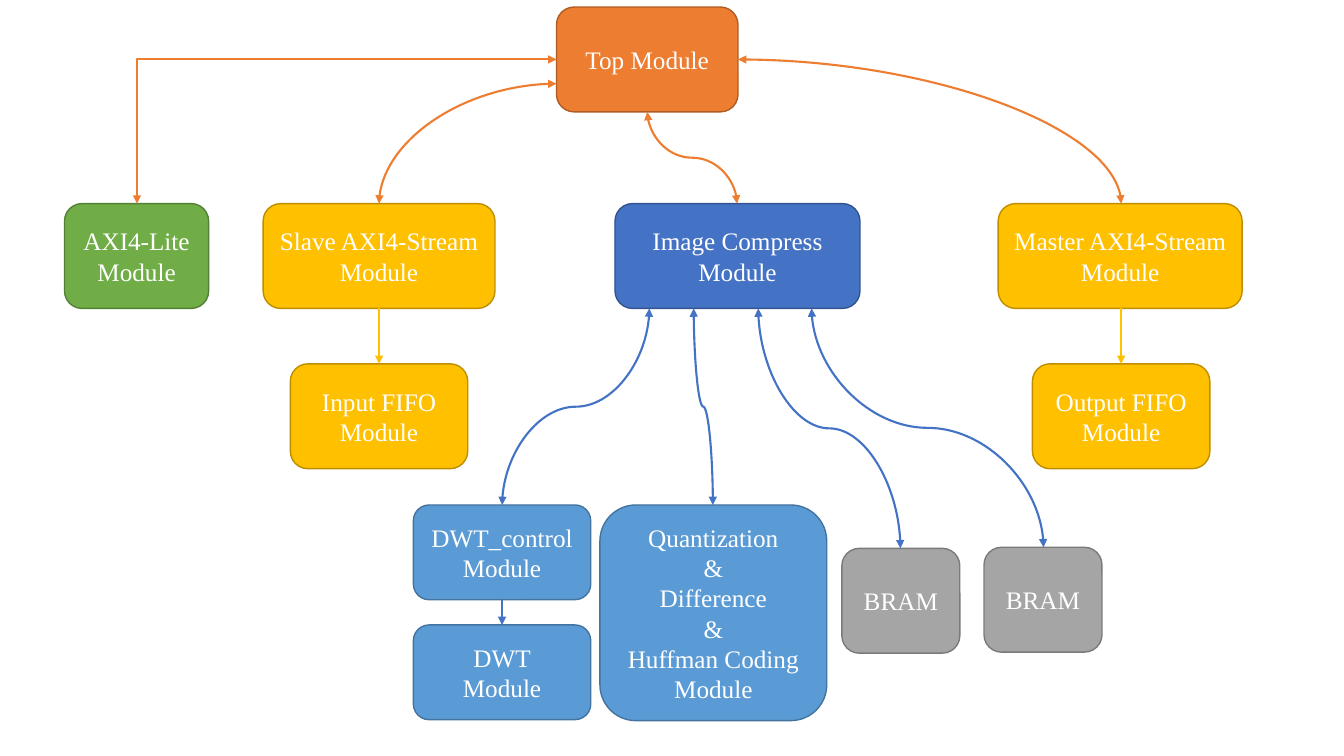
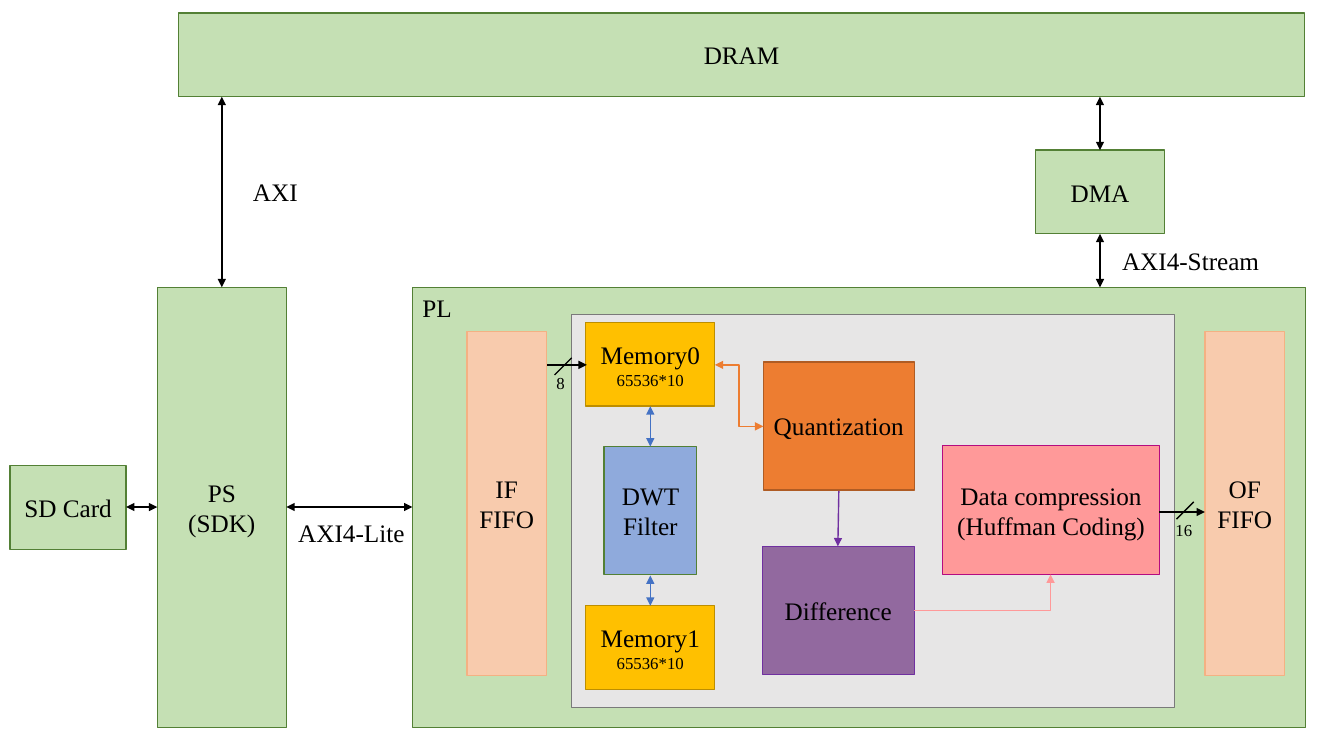
"""Build two block diagrams of an image compression system: module tree and data path."""
from lxml.etree import SubElement
from pptx import Presentation
from pptx.dml.color import RGBColor
from pptx.enum.shapes import MSO_CONNECTOR, MSO_SHAPE
from pptx.enum.text import MSO_ANCHOR, MSO_AUTO_SIZE, PP_ALIGN
from pptx.oxml.ns import qn
from pptx.util import Emu, Pt

PX = 9144
FONT = "Times New Roman"
TEXT_SIZE = 18
SMALL_SIZE = 12
SMALL_TEXTS = ("65536*10", "16", "8")
COLORS = {
    "white": "FFFFFF",
    "black": "000000",
    "orange": "ED7D31",
    "orange_edge": "AF5C24",
    "green": "70AD47",
    "green_edge": "538035",
    "gold": "FFC000",
    "gold_edge": "BD8E00",
    "blue": "4472C4",
    "blue_edge": "325491",
    "sky": "5B9BD5",
    "sky_edge": "43739E",
    "gray": "A5A5A5",
    "gray_edge": "7A7A7A",
    "pale_green": "C5E0B4",
    "peach": "F8CBAD",
    "peach_edge": "F4B183",
    "pale_gray": "E7E6E6",
    "periwinkle": "8FAADC",
    "plum": "92699F",
    "violet": "7030A0",
    "pink": "FF9999",
    "magenta": "B50B80",
}


def add_box(slide, preset, fill, edge, text, left, top, width, height):
    shape = slide.shapes.add_shape(preset, left * PX, top * PX, width * PX, height * PX)
    shape.shadow.inherit = False
    shape.fill.solid()
    shape.fill.fore_color.rgb = RGBColor.from_string(COLORS[fill])
    shape.line.color.rgb = RGBColor.from_string(COLORS[edge])
    shape.line.width = Pt(1)
    text_frame = shape.text_frame
    text_frame.word_wrap = True
    text_frame.vertical_anchor = MSO_ANCHOR.MIDDLE
    text_frame.margin_left = text_frame.margin_right = 5 * PX
    text_frame.text = text
    for paragraph in text_frame.paragraphs:
        paragraph.alignment = PP_ALIGN.CENTER


def add_link(slide, preset, color, width, ends, start, stop):
    """Draw a connector; a preset marked 'vertical' leaves and arrives vertically."""
    (x1, y1), (x2, y2) = start, stop
    preset, _, direction = preset.partition(" ")
    if direction == "vertical":
        turn = 1 if x2 < x1 else -1
        center_x, center_y = (x1 + x2) / 2, (y1 + y2) / 2
        half_length, half_spread = turn * (y2 - y1) / 2, abs(x2 - x1) / 2
        x1, x2 = center_x - half_length, center_x + half_length
        y1, y2 = center_y - half_spread, center_y + half_spread
    connector = slide.shapes.add_connector(
        MSO_CONNECTOR.STRAIGHT, *(Emu(round(value * PX)) for value in (x1, y1, x2, y2)))
    connector.line.color.rgb = RGBColor.from_string(COLORS[color])
    connector.line.width = Pt(width)
    properties = connector._element.spPr
    properties.find(qn("a:prstGeom")).set("prst", preset)
    if direction == "vertical":
        properties.find(qn("a:xfrm")).set("rot", str(turn * 90 % 360 * 60000))
    for end in ends:
        SubElement(properties.find(qn("a:ln")), qn(f"a:{end}End"), type="triangle")
    SubElement(properties, qn("a:effectLst"))


presentation = Presentation()
presentation.slide_width = 1333 * PX
presentation.slide_height = 750 * PX
blank = presentation.slide_layouts[6]
module_slide = presentation.slides.add_slide(blank)
system_slide = presentation.slides.add_slide(blank)

BOTH = ("head", "tail")
FORWARD = ("tail",)

ROW = 202
ROW_BOTTOM = 306
FIFO_TOP = 361
PART_TOP = 501
modules = [
    ("orange", "Top Module", 552, 7, 180, 104),
    ("green", "AXI4-Lite Module", 64, ROW, 143, 104),
    ("gold", "Slave AXI4-Stream\nModule", 261, ROW, 230, 104),
    ("gold", "Input FIFO\nModule", 288, FIFO_TOP, 176, 104),
    ("gold", "Master AXI4-Stream\nModule", 990, ROW, 242, 104),
    ("gold", "Output FIFO\nModule", 1024, FIFO_TOP, 176, 104),
    ("blue", "Image Compress Module", 610, ROW, 243, 104),
    ("sky", "DWT_control\nModule", 410, PART_TOP, 176, 94),
    ("sky", "DWT\nModule", 410, 620, 176, 94),
    ("sky", "Quantization\n&\nDifference\n&\nHuffman Coding\nModule", 595, PART_TOP, 225, 214),
    ("gray", "BRAM", 835, 544, 117, 104),
    ("gray", "BRAM", 976, 543, 117, 104),
]
for color, text, *frame in modules:
    add_box(module_slide, MSO_SHAPE.ROUNDED_RECTANGLE, color, f"{color}_edge", text, *frame)

module_links = [
    ("line", "gold", FORWARD, (376, ROW_BOTTOM), (376, FIFO_TOP)),
    ("line", "gold", FORWARD, (1112, ROW_BOTTOM), (1112, FIFO_TOP)),
    ("line", "blue", FORWARD, (498, 595), (498, 620)),
    ("bentConnector2", "orange", BOTH, (552, 59), (136, ROW)),
    ("curvedConnector2", "orange", BOTH, (552, 83), (376, ROW)),
    ("curvedConnector2", "orange", BOTH, (732, 59), (1112, ROW)),
    ("curvedConnector3 vertical", "orange", BOTH, (642, 111), (731, ROW)),
    ("curvedConnector3 vertical", "blue", BOTH, (644, ROW_BOTTOM), (498, PART_TOP)),
    ("curvedConnector3 vertical", "blue", BOTH, (688, ROW_BOTTOM), (707, PART_TOP)),
    ("curvedConnector3 vertical", "blue", BOTH, (752, ROW_BOTTOM), (893, 544)),
    ("curvedConnector3 vertical", "blue", BOTH, (805, ROW_BOTTOM), (1035, 543)),
]
for preset, color, ends, start, stop in module_links:
    add_link(module_slide, preset, color, 1.5, ends, start, stop)

blocks = [
    ("pale_green", "green_edge", "SD Card", 10, 462, 115, 83),
    ("pale_green", "green_edge", "PS\n(SDK)", 156, 285, 128, 437),
    ("pale_green", "green_edge", "DRAM", 177, 13, 1117, 83),
    ("pale_green", "green_edge", "", 409, 285, 886, 437),
    ("peach", "peach_edge", "IF\nFIFO", 463, 329, 79, 341),
    ("peach", "peach_edge", "OF\nFIFO", 1195, 329, 79, 341),
    ("pale_green", "green_edge", "DMA", 1027, 149, 128, 83),
    ("pale_gray", "gray_edge", "", 567, 312, 598, 390),
    ("gold", "gold_edge", "Memory0\n65536*10", 581, 320, 128, 83),
    ("gold", "gold_edge", "Memory1\n65536*10", 581, 601, 128, 83),
    ("periwinkle", "green_edge", "DWT Filter", 599, 443, 92, 127),
    ("orange", "orange_edge", "Quantization", 757, 359, 150, 127),
    ("plum", "violet", "Difference", 756, 542, 151, 127),
    ("pink", "magenta", "Data compression\n(Huffman Coding)", 935, 442, 215, 128),
]
for fill, edge, text, *frame in blocks:
    add_box(system_slide, MSO_SHAPE.RECTANGLE, fill, edge, text, *frame)

system_links = [
    ("line", "black", BOTH, (125, 503), (156, 503)),
    ("line", "black", BOTH, (284, 503), (409, 503)),
    ("line", "black", BOTH, (220, 285), (220, 96)),
    ("line", "black", BOTH, (1091, 149), (1091, 96)),
    ("line", "black", BOTH, (1091, 285), (1091, 232)),
    ("line", "blue", BOTH, (645, 403), (645, 443)),
    ("line", "blue", BOTH, (645, 571), (645, 601)),
    ("bentConnector3", "orange", BOTH, (709, 362), (757, 423)),
    ("line", "violet", FORWARD, (832, 487), (831, 542)),
    ("bentConnector2", "pink", FORWARD, (907, 606), (1042, 570)),
    ("line", "black", FORWARD, (543, 362), (582, 362)),
    ("line", "black", (), (567, 355), (550, 372)),
    ("line", "black", FORWARD, (1150, 508), (1195, 508)),
    ("line", "black", (), (1184, 498), (1167, 515)),
]
for preset, color, ends, start, stop in system_links:
    add_link(system_slide, preset, color, 1, ends, start, stop)

labels = [
    ("AXI4-Stream", 1103, 238, 158, 40),
    ("AXI", 241, 170, 65, 40),
    ("PL", 409, 285, 50, 40),
    ("AXI4-Lite", 286, 508, 127, 40),
    ("16", 1156, 511, 37, 30),
    ("8", 542, 365, 29, 30),
]
for text, *frame in labels:
    label = system_slide.shapes.add_textbox(*(value * PX for value in frame))
    label.text_frame.word_wrap = False
    label.text_frame.auto_size = MSO_AUTO_SIZE.SHAPE_TO_FIT_TEXT
    label.text_frame.text = text

for slide, color in ((module_slide, "white"), (system_slide, "black")):
    for shape in slide.shapes:
        if not shape.has_text_frame:
            continue
        for paragraph in shape.text_frame.paragraphs:
            for run in paragraph.runs:
                run.font.name = FONT
                run.font.size = Pt(SMALL_SIZE if run.text in SMALL_TEXTS else TEXT_SIZE)
                run.font.color.rgb = RGBColor.from_string(COLORS[color])

presentation.save("out.pptx")
